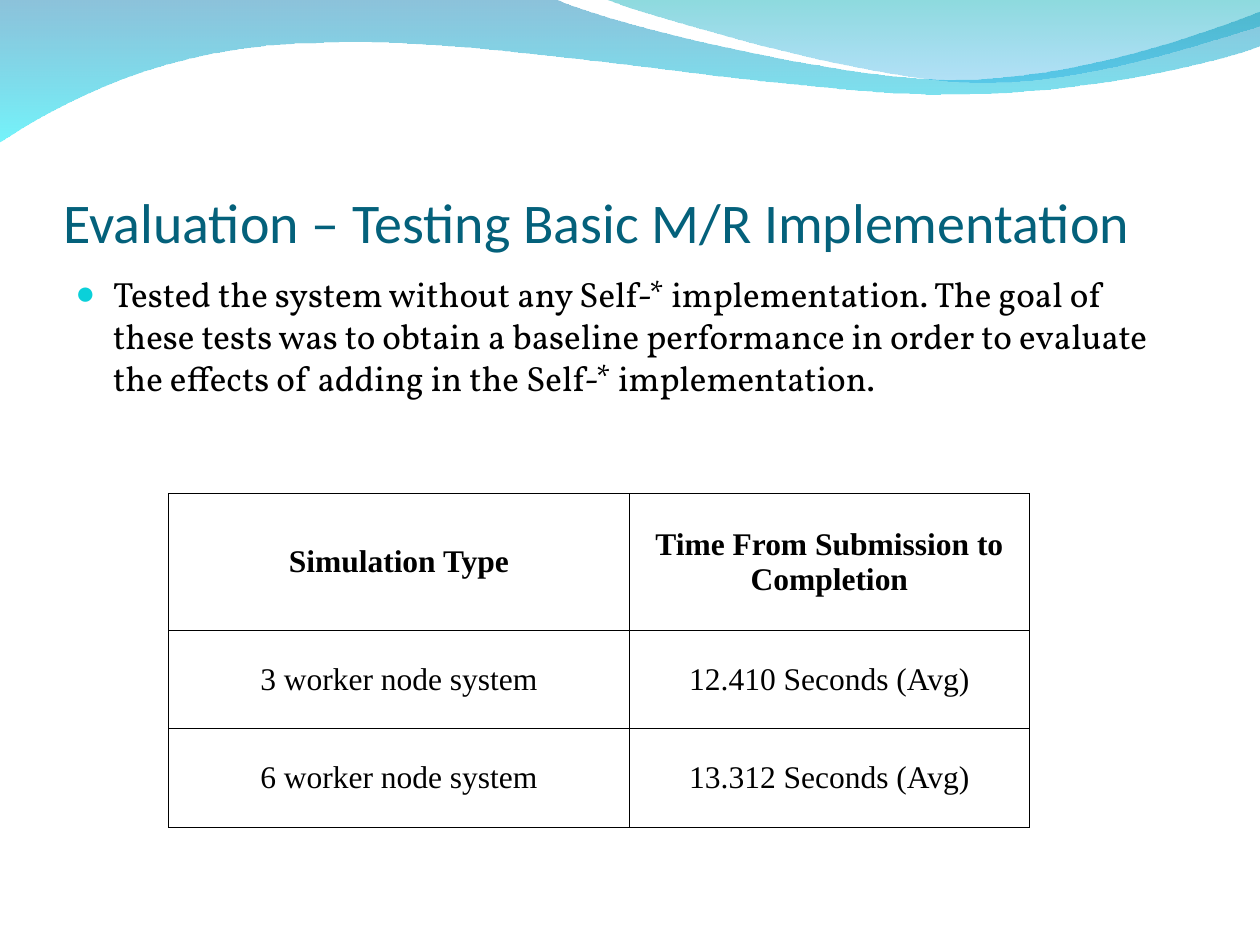
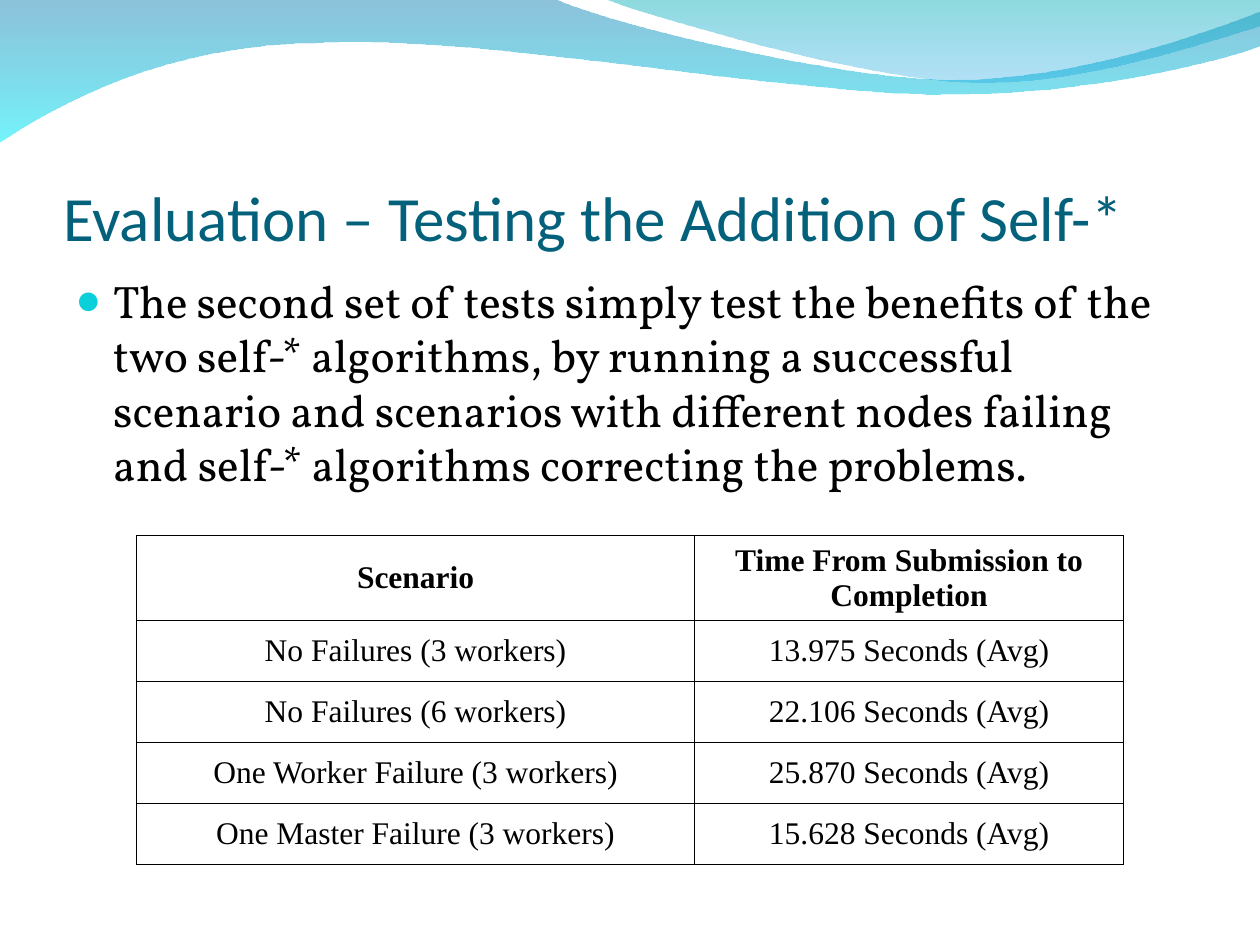
from lxml import etree
from pptx import Presentation
from pptx import util as u
from pptx.dml.color import RGBColor
from pptx.enum import text
from pptx.oxml.ns import qn

Pt = u.Pt

# Content
TIME = "Time From Submission to Completion"
PAGES = [
    dict(title="Evaluation – Testing Basic M/R Implementation", size=32,
         body="Tested the system without any Self-* implementation. The goal of these "
              "tests was to obtain a baseline performance in order to evaluate the "
              "effects of adding in the Self-* implementation.",
         body_size=20, at=(96.2, 282), cols=(263.5, 228.5), head=78.3, row=56.2,
         rows=[("Simulation Type", TIME),
               ("3 worker node system", "12.410 Seconds (Avg)"),
               ("6 worker node system", "13.312 Seconds (Avg)")]),
    dict(title="Evaluation – Testing the Addition of Self-*", size=36,
         body="The second set of tests simply test the benefits of the two self-* "
              "algorithms, by running a successful scenario and scenarios with different "
              "nodes failing and self-* algorithms correcting the problems.",
         body_size=26, at=(78, 306), cols=(319, 245), head=48.5, row=34.8,
         rows=[("Scenario", TIME),
               ("No Failures (3 workers)", "13.975 Seconds (Avg)"),
               ("No Failures (6 workers)", "22.106 Seconds (Avg)"),
               ("One Worker Failure (3 workers)", "25.870 Seconds (Avg)"),
               ("One Master Failure (3 workers)", "15.628 Seconds (Avg)")]),
]

# Shared look
HUES = dict(title="04617B", ink="000000", dot="0BD0D9")
FONTS = dict(title="Calibri", body="Vollkorn", table="Times New Roman")

# Each wave: start, then lines (1 point) or Bézier curves (3 points); stops are hue, opacity %
WAVES = [
    dict(start=(0, -0.7), stops=[("0079AF", 45), ("00EBF8", 55)],
         steps=[[(316.8, -0.7)],
                [(342.7, 12.2), (478.1, 45.4), (545.8, 45.4)],
                [(614.2, 45.4), (689.8, 18.7), (720, 6.5)],
                [(720.7, 25.9)],
                [(707.8, 31.7), (626.4, 54.7), (537.1, 54)],
                [(447.8, 54), (275, 20.2), (185, 24.5)],
                [(92.9, 25.2), (33.1, 59.8), (-0.7, 81.4)]]),
    dict(start=(344.9, -0.7), stops=[("00ADB6", 45), ("009BE5", 30)],
         steps=[[(366.5, 7.9), (491, 44.6), (553.7, 46.8)],
                [(616.3, 49.7), (691.9, 23), (720, 15.1)],
                [(720, 0)]]),
]


def bend(shape, steps):
    """Turn each run of three lines into one Bézier curve."""
    lines = iter(list(shape.element.iter(qn("a:lnTo"))))
    for step in steps:
        run = [next(lines) for _ in step]
        if len(run) == 3:
            curve = etree.Element(qn("a:cubicBezTo"))
            run[0].addprevious(curve)
            for line in run:
                curve.append(line[0])
                line.getparent().remove(line)


def add_wave(slide, wave):
    pen = slide.shapes.build_freeform(*map(Pt, wave["start"]))
    dots = [(Pt(x), Pt(y)) for step in wave["steps"] for x, y in step]
    pen.add_line_segments(dots, close=True)
    shape = pen.convert_to_shape()
    bend(shape, wave["steps"])
    shape.shadow.inherit = False
    shape.line.fill.background()
    shape.fill.gradient()
    shape.fill.gradient_angle = 270
    for i, (hue, alpha) in enumerate(wave["stops"]):
        stop = shape.fill.gradient_stops[i]
        stop.position = i
        stop.color.rgb = RGBColor.from_string(hue)
    tags = shape.element.iter(qn("a:srgbClr"))
    for tag, (hue, alpha) in zip(tags, wave["stops"]):
        etree.SubElement(tag, qn("a:alpha"), val=str(alpha * 1000))
    return shape


def style(para, font, size, hue, bold=False):
    para.font.name = FONTS[font]
    para.font.size = Pt(size)
    para.font.bold = bold
    para.font.color.rgb = RGBColor.from_string(HUES[hue])


def place(shape, *box):
    shape.left, shape.top, shape.width, shape.height = map(Pt, box)


def add_title(slide, page):
    shape = slide.shapes.title
    place(shape, 36, 55.5, 648, 90)
    frame = shape.text_frame
    frame.text = page["title"]
    frame.auto_size = text.MSO_AUTO_SIZE.NONE
    frame.vertical_anchor = text.MSO_ANCHOR.BOTTOM
    frame.margin_left = frame.margin_right = frame.margin_bottom = 0
    frame.margin_top = Pt(3.6)
    para = frame.paragraphs[0]
    para.alignment = text.PP_ALIGN.LEFT
    style(para, "title", page["size"], "title")


def add_body(slide, page):
    frame = slide.shapes.add_textbox(*map(Pt, (36, 152.3, 648, 345.6))).text_frame
    frame.word_wrap = True
    para = frame.paragraphs[0]
    para.text = page["body"]
    # Round bullet with a hanging indent
    props = para._p.get_or_add_pPr()
    props.set("marL", str(Pt(21.6)))
    props.set("indent", str(-Pt(21.6)))
    hue = etree.SubElement(props, qn("a:buClr"))
    etree.SubElement(hue, qn("a:srgbClr"), val=HUES["dot"])
    etree.SubElement(props, qn("a:buSzPct"), val="95000")
    etree.SubElement(props, qn("a:buFont"), typeface=FONTS["table"])
    etree.SubElement(props, qn("a:buChar"), char="●")
    para.space_before = Pt(page["body_size"] / 4)
    style(para, "body", page["body_size"], "ink")


def add_edges(cell):
    props = cell._tc.get_or_add_tcPr()
    for side in "LRTB":
        line = etree.SubElement(props, qn("a:ln" + side), w=str(Pt(0.45)))
        fill = etree.SubElement(line, qn("a:solidFill"))
        etree.SubElement(fill, qn("a:srgbClr"), val=HUES["ink"])


def add_grid(slide, page):
    rows, cols = page["rows"], page["cols"]
    highs = [page["head"]] + [page["row"]] * (len(rows) - 1)
    box = (*page["at"], sum(cols), sum(highs))
    table = slide.shapes.add_table(len(rows), len(cols), *map(Pt, box)).table
    table.first_row = table.horz_banding = False
    for col, wide in zip(table.columns, cols):
        col.width = Pt(wide)
    for r, (row, high) in enumerate(zip(rows, highs)):
        table.rows[r].height = Pt(high)
        for c, words in enumerate(row):
            cell = table.cell(r, c)
            add_edges(cell)
            cell.fill.background()
            cell.vertical_anchor = text.MSO_ANCHOR.MIDDLE
            cell.margin_left = cell.margin_right = Pt(5.4)
            cell.margin_top = cell.margin_bottom = Pt(2.7)
            cell.text = words
            para = cell.text_frame.paragraphs[0]
            para.alignment = text.PP_ALIGN.CENTER
            para.space_after = Pt(6)
            style(para, "table", 18, "ink", bold=r == 0)


def main():
    deck = Presentation()
    deck.slide_width, deck.slide_height = Pt(720), Pt(540)
    layout = deck.slide_layouts[5]
    for n, page in enumerate(PAGES):
        slide = deck.slides.add_slide(layout)
        if n == 0:
            # The waves move to the layout, which all slides share
            for i, wave in enumerate(WAVES):
                layout.shapes.element.insert(2 + i, add_wave(slide, wave).element)
        add_title(slide, page)
        add_body(slide, page)
        add_grid(slide, page)
    deck.save("out.pptx")


if __name__ == "__main__":
    main()
